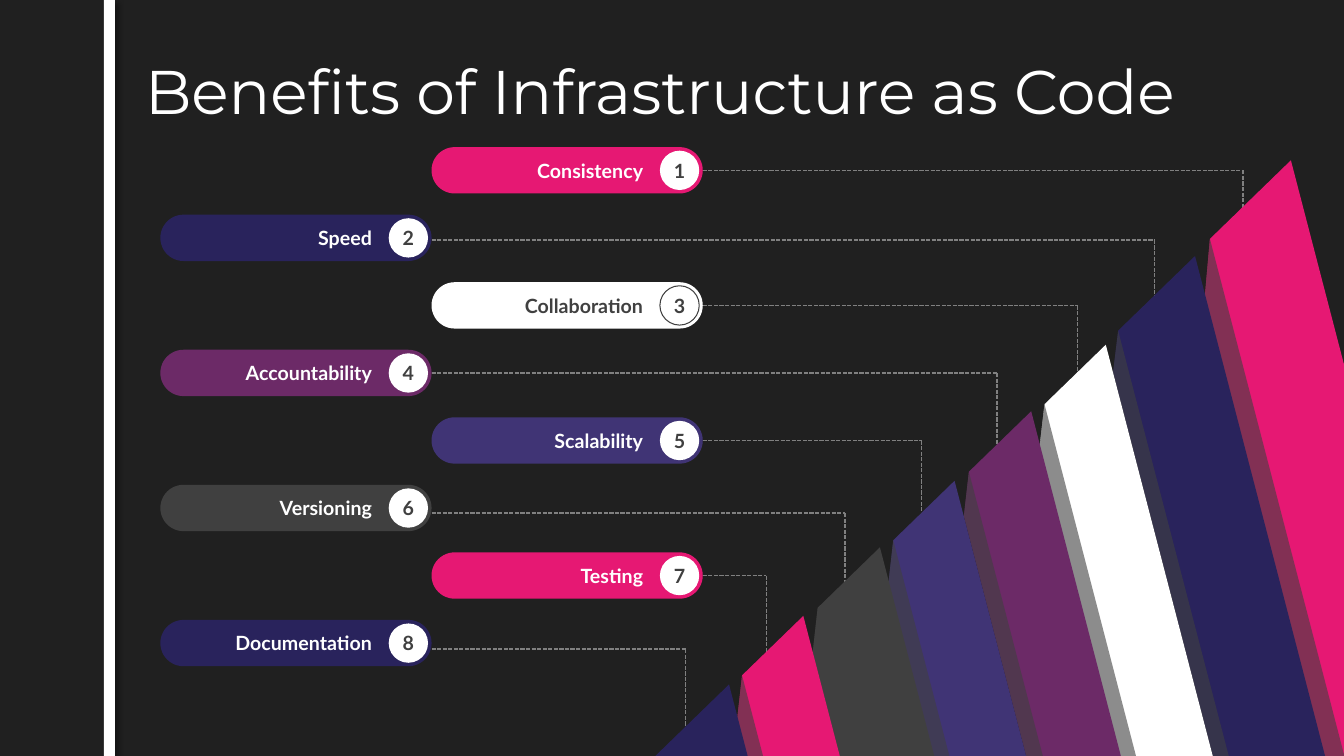
from dataclasses import dataclass
from lxml.etree import SubElement
from pptx import Presentation
from pptx.dml.color import RGBColor
from pptx.enum.dml import MSO_LINE
from pptx.enum.shapes import MSO_CONNECTOR as Connector, MSO_SHAPE as Preset
from pptx.enum.text import MSO_ANCHOR as Anchor, PP_ALIGN as Align
from pptx.oxml.ns import qn
from pptx.util import Inches, Pt


@dataclass(frozen=True)
class Theme:
    background: str = "202020"
    white: str = "FFFFFF"
    dark: str = "404040"
    wire: str = "808080"
    pink: str = "E61873"
    navy: str = "29235C"
    plum: str = "6C2A67"
    violet: str = "403475"
    heading_font: str = "Montserrat"
    label_font: str = "Lato"
    heading_size: int = 44
    label_size: int = 14


theme = Theme()
TITLE = "Benefits of Infrastructure as Code"

# label, colour, (wire dip, corner x, wire end y), (shoulder x, shoulder y, rise, drop)
BENEFITS = [
    ("Consistency", theme.pink, (0, 12.33, 2.2), (12, 2.37, 0.78, 0.57)),
    ("Speed", theme.navy, (0.02, 11.45, 3.01), (11.09, 3.28, 0.74, 0.41)),
    ("Collaboration", theme.white, (0, 10.69, 3.76), (10.36, 4.01, 0.59, 0.43)),
    ("Accountability", theme.plum, (0, 9.89, 4.45), (9.61, 4.68, 0.6, 0.44)),
    ("Scalability", theme.violet, (0, 9.14, 5.1), (8.86, 5.36, 0.59, 0.44)),
    ("Versioning", theme.dark, (0.05, 8.38, 5.81), (8.11, 6.03, 0.6, 0.45)),
    ("Testing", theme.pink, (0, 7.6, 6.47), (7.36, 6.7, 0.59, 0.45)),
    ("Documentation", theme.navy, (0.06, 6.8, 7.23), (6.5, 7.5, 0.71, 0)),
]

WIDTH, HEIGHT = 13.33, 7.5
PILL_WIDTH, PILL_HEIGHT = 2.69, 0.46
COLUMNS = (4.28, 1.59)
FIRST_ROW, ROW_PITCH = 1.46, 0.67
BADGE = 0.39
LEAN, CREST, NOTCH_SHIFT = 0.26, 1.03, 0.05

presentation = Presentation()
presentation.slide_width, presentation.slide_height = Inches(WIDTH), Inches(HEIGHT)
slide = presentation.slides.add_slide(presentation.slide_layouts[6])
slide.background.fill.solid()
slide.background.fill.fore_color.rgb = RGBColor.from_string(theme.background)


def paint(shape, color, outline=None):
    shape.shadow.inherit = False
    shape.fill.solid()
    shape.fill.fore_color.rgb = RGBColor.from_string(color)
    if outline:
        shape.line.color.rgb = RGBColor.from_string(outline)
        shape.line.width = Pt(0.75)
    else:
        shape.line.fill.background()
    return shape


def add_preset(preset, box, color, outline=None):
    return paint(slide.shapes.add_shape(preset, *map(Inches, box)), color, outline)


def add_alpha(color_element, percent):
    SubElement(color_element, qn("a:alpha"), val=str(percent * 1000))


def write(text, box=None, shape=None, font=theme.label_font, size=theme.label_size,
          color=theme.white, bold=True, align=Align.CENTER, inset=0, spacing=None):
    shape = shape or slide.shapes.add_textbox(*map(Inches, box))
    frame = shape.text_frame
    frame.word_wrap = True
    frame.vertical_anchor = Anchor.MIDDLE
    frame.margin_left = frame.margin_right = Inches(inset)
    frame.margin_top = frame.margin_bottom = Inches(inset / 2)
    paragraph = frame.paragraphs[0]
    paragraph.text = text
    paragraph.alignment = align
    paragraph.line_spacing = spacing
    paragraph.font.name, paragraph.font.size = font, Pt(size)
    paragraph.font.bold = bold
    paragraph.font.color.rgb = RGBColor.from_string(color)


def add_wire(*ends):
    wire = slide.shapes.add_connector(Connector.STRAIGHT, *map(Inches, ends))
    wire.line.color.rgb = RGBColor.from_string(theme.wire)
    wire.line.width = Pt(1)
    wire.line.dash_style = MSO_LINE.SQUARE_DOT
    SubElement(wire.element.spPr, qn("a:effectLst"))
    return wire


def add_polygon(points, color):
    start, *rest = [(Inches(x), Inches(y)) for x, y in points]
    builder = slide.shapes.build_freeform(*start)
    builder.add_line_segments(rest, close=True)
    return paint(builder.convert_to_shape(), color)


def foot(point):
    x, y = point
    return x + (HEIGHT - y) * LEAN, HEIGHT


def add_strip(color, x, y, rise, drop):
    shoulder, peak = (x, y), (x + rise * CREST, y - rise)
    notch = (x - NOTCH_SHIFT, y + drop) if drop else shoulder
    add_polygon([peak, shoulder, notch, foot(notch), foot(peak)], color)
    if drop:
        shade = add_polygon([shoulder, notch, foot(notch), foot(shoulder)], theme.dark)
        add_alpha(shade.element.spPr.find(qn("a:solidFill"))[0], 60)


def add_pill(number, label, color, left, top):
    pale = color == theme.white
    pill = add_preset(Preset.ROUNDED_RECTANGLE, (left, top, PILL_WIDTH, PILL_HEIGHT), color)
    pill.adjustments[0] = 0.5
    gap = (PILL_HEIGHT - BADGE) / 2
    badge = add_preset(Preset.OVAL, (left + PILL_WIDTH - gap - BADGE, top + gap, BADGE, BADGE),
                       theme.white, theme.dark if pale else None)
    write(str(number), shape=badge, color=theme.dark)
    write(label, (left + 0.23, top + 0.11, 1.87, 0.24), align=Align.RIGHT,
          color=theme.dark if pale else theme.white)
    return pill


rail = add_preset(Preset.RECTANGLE, (1.03, 0, 0.11, HEIGHT), theme.white)
effects = rail.element.spPr.find(qn("a:effectLst"))
shadow = SubElement(effects, qn("a:outerShdw"), blurRad=str(Pt(4)), dist=str(Pt(3)), dir="2700000")
add_alpha(SubElement(shadow, qn("a:srgbClr"), val="000000"), 40)

write(TITLE, (1.34, 0.21, 11.5, 1.45), font=theme.heading_font, size=theme.heading_size,
      bold=False, align=Align.LEFT, inset=0.1, spacing=0.9)

for row, (label, color, (dip, corner, end), strip) in enumerate(BENEFITS):
    left, top = COLUMNS[row % 2], FIRST_ROW + row * ROW_PITCH
    level = top + PILL_HEIGHT / 2 + dip
    pill = add_pill(row + 1, label, color, left, top)
    wire = add_wire(left + PILL_WIDTH, level, corner, level)
    if not dip:
        wire.begin_connect(pill, 3)
    add_wire(corner, level, corner, end)
    add_strip(color, *strip)

presentation.save("out.pptx")
